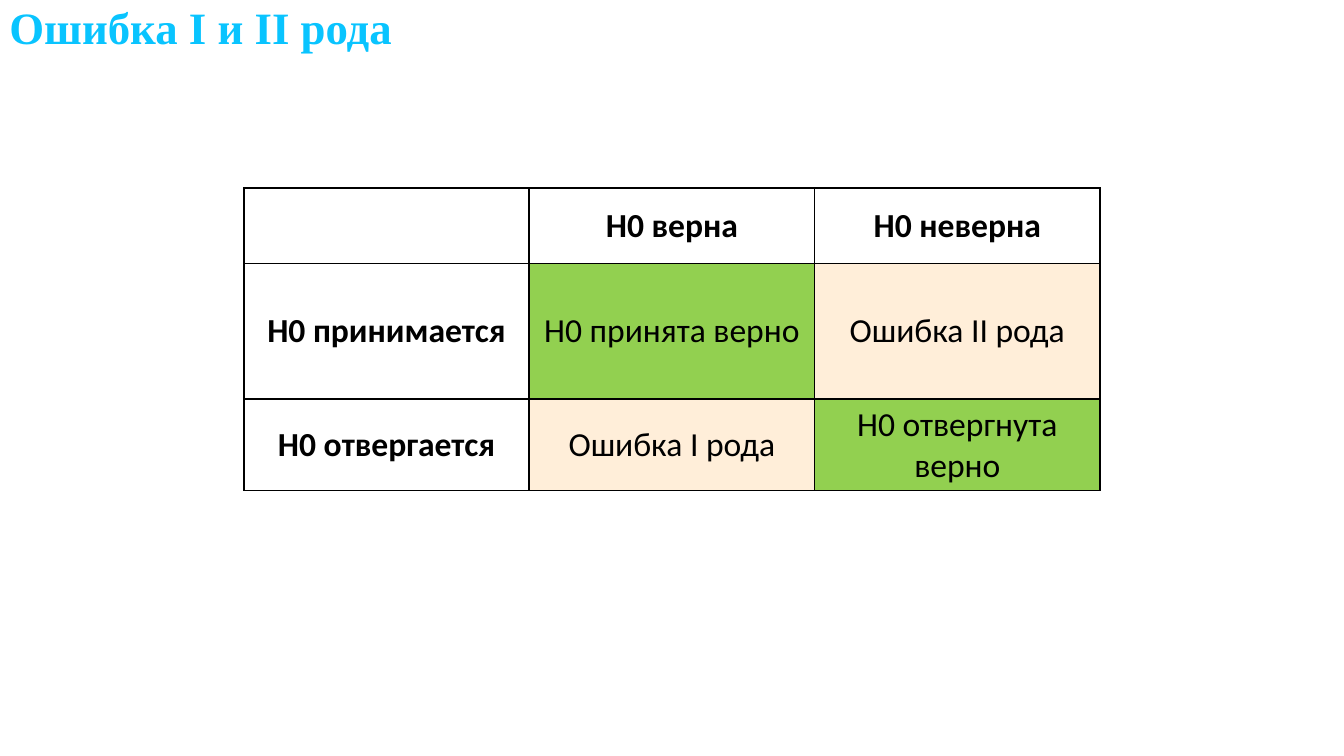
from lxml import etree
from pptx import Presentation
from pptx.dml.color import RGBColor
from pptx.enum.text import MSO_ANCHOR, PP_ALIGN
from pptx.oxml.ns import qn
from pptx.util import Inches, Pt

CENTER = PP_ALIGN.CENTER
TOP = MSO_ANCHOR.TOP
MIDDLE = MSO_ANCHOR.MIDDLE

COLORS = {
    "title": "09C4FF",
    "text": "000000",
    "border": "000000",
    "plain": "FFFFFF",
    "correct": "92D050",
    "error": "FFEED9",
}
TITLE_FONT = {"name": "Times New Roman", "size": Pt(24), "bold": True}
CELL_FONT = {"name": "Calibri", "size": Pt(18)}
MARGINS = {
    "margin_left": Inches(0.07),
    "margin_right": Inches(0.07),
    "margin_top": Inches(0.04),
    "margin_bottom": Inches(0.04),
}

SLIDE_WIDTH = Inches(10)
SLIDE_HEIGHT = SLIDE_WIDTH * 9 // 16
TABLE_WIDTH = Inches(6.37)
ROW_HEIGHTS = [0.56, 1.01, 0.68]
# Each cell holds its text and the kind that sets its fill
DECISIONS = [
    [("", "plain"), ("H0 верна", "plain"), ("H0 неверна", "plain")],
    [("H0 принимается", "plain"), ("H0 принята верно", "correct"), ("Ошибка II рода", "error")],
    [("H0 отвергается", "plain"), ("Ошибка I рода", "error"), ("H0 отвергнута верно", "correct")],
]


def set_attributes(target, values):
    for name, value in values.items():
        setattr(target, name, value)


def style_font(font, values, color):
    set_attributes(font, values)
    font.color.rgb = RGBColor.from_string(COLORS[color])


def add_title(slide, text):
    box = slide.shapes.add_textbox(0, 0, Inches(7.5), Inches(0.51))
    frame = box.text_frame
    set_attributes(frame, {**MARGINS, "word_wrap": True, "vertical_anchor": TOP})
    paragraph = frame.paragraphs[0]
    paragraph.line_spacing = 0.9
    run = paragraph.add_run()
    run.text = text
    style_font(run.font, TITLE_FONT, "title")


def add_borders(cell):
    properties = cell._tc.get_or_add_tcPr()
    # Borders come before the fill in the cell properties
    for position, side in enumerate(("lnL", "lnR", "lnT", "lnB")):
        line = etree.Element(qn(f"a:{side}"), w=str(Pt(1)))
        fill = etree.SubElement(line, qn("a:solidFill"))
        etree.SubElement(fill, qn("a:srgbClr"), val=COLORS["border"])
        properties.insert(position, line)


def fill_cell(cell, text, kind):
    set_attributes(cell, {**MARGINS, "vertical_anchor": MIDDLE})
    if kind == "plain":
        cell.fill.background()
    else:
        cell.fill.solid()
        cell.fill.fore_color.rgb = RGBColor.from_string(COLORS[kind])
    add_borders(cell)
    paragraph = cell.text_frame.paragraphs[0]
    paragraph.alignment = CENTER
    if text:
        run = paragraph.add_run()
        run.text = text
        style_font(run.font, {**CELL_FONT, "bold": kind == "plain"}, "text")


def add_decision_table(slide, top):
    # The table is centred across the slide
    left = (SLIDE_WIDTH - TABLE_WIDTH) // 2
    table = slide.shapes.add_table(
        len(DECISIONS), len(DECISIONS[0]), left, Inches(top),
        TABLE_WIDTH, Inches(sum(ROW_HEIGHTS)),
    ).table
    set_attributes(table, {"first_row": False, "horz_banding": False})
    for row, height, contents in zip(table.rows, ROW_HEIGHTS, DECISIONS):
        row.height = Inches(height)
        for cell, (text, kind) in zip(row.cells, contents):
            fill_cell(cell, text, kind)


def main():
    presentation = Presentation()
    presentation.slide_width = SLIDE_WIDTH
    presentation.slide_height = SLIDE_HEIGHT
    slide = presentation.slides.add_slide(presentation.slide_layouts[6])

    # Heading
    add_title(slide, "Ошибка I и II рода")

    # Outcomes of the hypothesis test
    add_decision_table(slide, 1.4)

    presentation.save("out.pptx")


if __name__ == "__main__":
    main()
